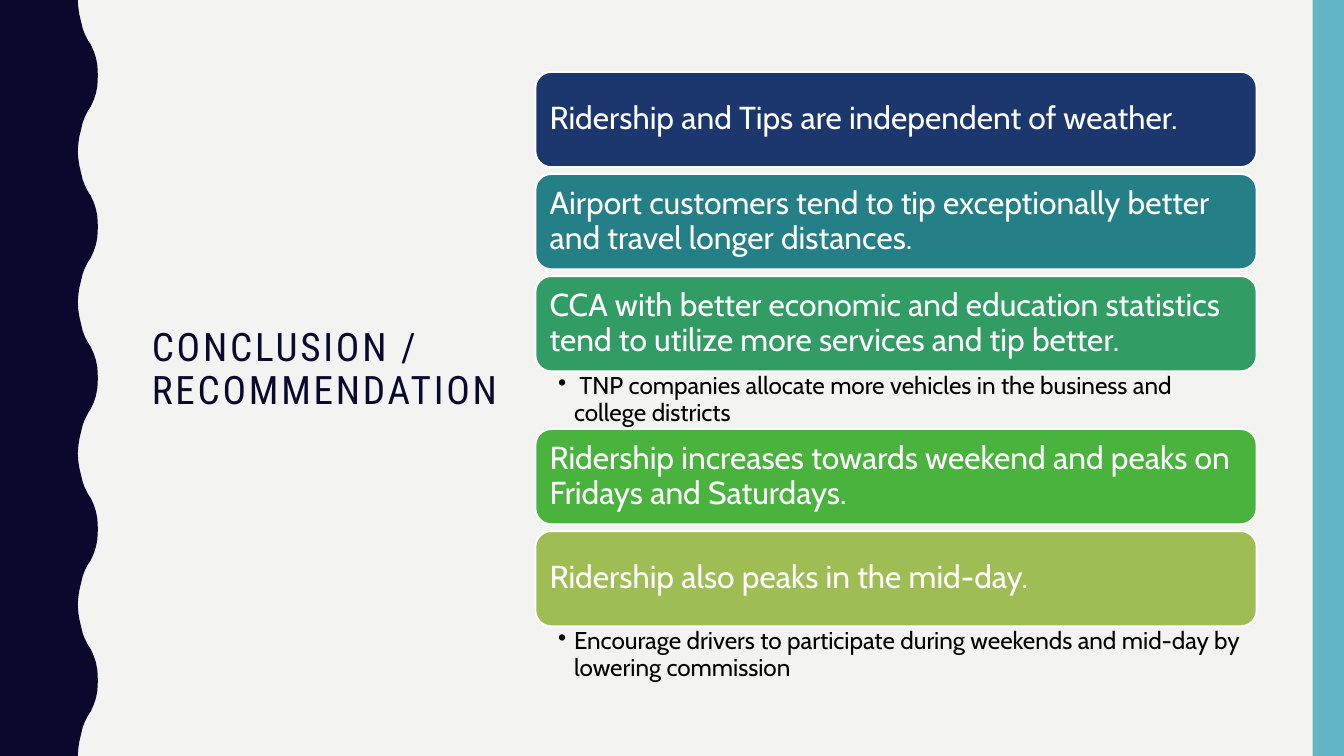
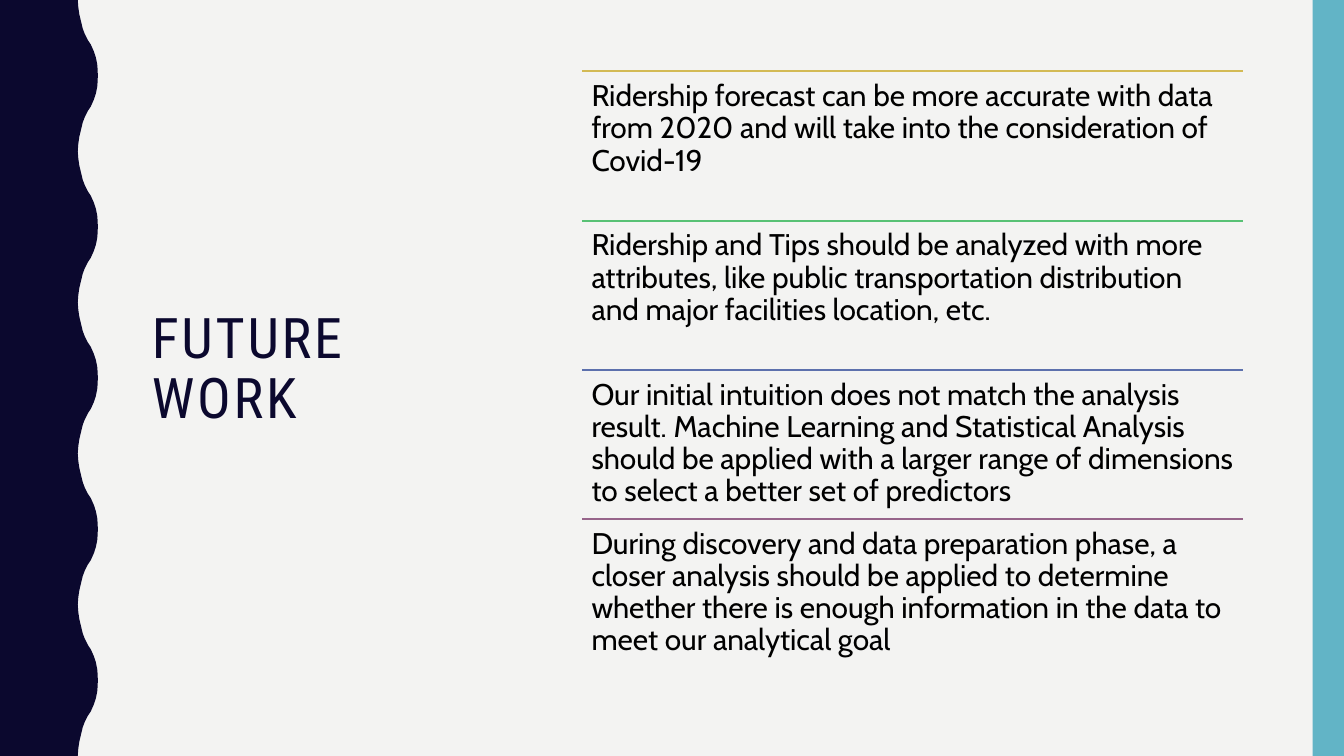
import pptx
import pptx.dml.color
import pptx.enum.shapes
import pptx.enum.text
import pptx.oxml
import pptx.oxml.ns
import pptx.util

Cm = pptx.util.Cm
Pt = pptx.util.Pt
SHAPES = pptx.enum.shapes.MSO_SHAPE
ANCHORS = pptx.enum.text.MSO_ANCHOR

SLIDE_W, SLIDE_H = 25.4, 14.29
PAPER, NAVY, SKY, WHITE, BLACK = "F3F3F2", "0B082E", "62B4C6", "FFFFFF", "000000"
TITLE_FONT, BODY_FONT = "Roboto Condensed", "Cabin"

TITLE_BOX = (2.62, 1.35, 7.06, 11.3)
CONCLUSIONS_BOX = (10.12, 1.36, 13.63, 11.57)
PLANS_BOX = (11, 1.35, 12.5, 11.28)

# Half a wave of the left band: (share of the depth, share of the half length)
WAVE_RISE = [(0, 0), (0.03, 0.1), (0.08, 0.19), (0.15, 0.27), (0.25, 0.38),
             (0.35, 0.45), (0.5, 0.53), (0.65, 0.59), (0.8, 0.68), (0.9, 0.76),
             (0.97, 0.85), (0.99, 0.92), (1, 1)]
WAVES = 5

# Fill of the bar, its text, and the note below it
CONCLUSIONS = [
    ("1B376E", "Ridership and Tips are independent of weather.", None),
    ("257F86", "Airport customers tend to tip exceptionally better and travel "
               "longer distances.", None),
    ("319D65", "CCA with better economic and education statistics tend to utilize "
               "more services and tip better.",
     " TNP companies allocate more vehicles in the business and college districts"),
    ("4AB33E", "Ridership increases towards weekend and peaks on Fridays and "
               "Saturdays.", None),
    ("9EBE55", "Ridership also peaks in the mid-day.",
     "Encourage drivers to participate during weekends and mid-day by lowering "
     "commission"),
]
PLANS = [
    ("D3BA55", "Ridership forecast can be more accurate with data from 2020 and will "
               "take into the consideration of Covid-19"),
    ("58C175", "Ridership and Tips should be analyzed with more attributes, like "
               "public transportation distribution and major facilities location, etc."),
    ("5C70AD", "Our initial intuition does not match the analysis result. Machine "
               "Learning and Statistical Analysis should be applied with a larger "
               "range of dimensions to select a better set of predictors"),
    ("96648A", "During discovery and data preparation phase, a closer analysis should "
               "be applied to determine whether there is enough information in the "
               "data to meet our analytical goal"),
]


def rgb(value):
    return pptx.dml.color.RGBColor.from_string(value)


def lengths(*values):
    return [Cm(value) for value in values]


def paint(shape, fill, outline=None):
    shape.shadow.inherit = False
    shape.fill.solid()
    shape.fill.fore_color.rgb = rgb(fill)
    if outline:
        shape.line.color.rgb = rgb(outline)
        shape.line.width = Pt(1)
    else:
        shape.line.fill.background()


def write(shape, text, *, size, color=BLACK, font=BODY_FONT, anchor=ANCHORS.TOP,
          insets=(0.18, 0.18, 0.18, 0.18), tracking=None, bullet=None):
    """Fill a shape with one paragraph; insets run left, top, right, bottom."""
    frame = shape.text_frame
    frame.word_wrap = True
    frame.auto_size = pptx.enum.text.MSO_AUTO_SIZE.NONE
    frame.vertical_anchor = anchor
    (frame.margin_left, frame.margin_top,
     frame.margin_right, frame.margin_bottom) = lengths(*insets)
    paragraph = frame.paragraphs[0]
    paragraph.alignment = pptx.enum.text.PP_ALIGN.LEFT
    paragraph.line_spacing = 0.9
    if bullet:
        properties = paragraph._p.get_or_add_pPr()
        properties.set("marL", str(Cm(0.3)))
        properties.set("indent", str(-Cm(0.3)))
        mark = pptx.oxml.parse_xml(
            f'<a:buChar {pptx.oxml.ns.nsdecls("a")} char="{bullet}"/>')
        properties.append(mark)
    run = paragraph.add_run()
    run.text = text
    run.font.size = Pt(size)
    run.font.name = font
    run.font.color.rgb = rgb(color)
    if tracking:
        run._r.get_or_add_rPr().set("spc", str(round(tracking * 100)))


def draw_wave_band(slide, trough=1.47, crest=1.85):
    half = SLIDE_H / WAVES / 2
    cycle = WAVE_RISE + [(x, 2 - y) for x, y in reversed(WAVE_RISE[:-1])]
    edge = [lengths(trough + x * (crest - trough), (2 * wave + y) * half)
            for wave in range(WAVES) for x, y in cycle]
    builder = slide.shapes.build_freeform(0, 0)
    builder.add_line_segments(edge + [lengths(0, SLIDE_H)], close=True)
    paint(builder.convert_to_shape(), NAVY)


def draw_side_stripe(slide, width=0.59):
    stripe = slide.shapes.add_shape(
        SHAPES.RECTANGLE, *lengths(SLIDE_W - width, 0, width, SLIDE_H))
    paint(stripe, SKY)


def start_slide(deck, title, title_size):
    slide = deck.slides.add_slide(deck.slide_layouts[6])
    slide.background.fill.solid()
    slide.background.fill.fore_color.rgb = rgb(PAPER)
    draw_wave_band(slide)
    draw_side_stripe(slide)
    heading = slide.shapes.add_textbox(*lengths(*TITLE_BOX))
    write(heading, title, size=title_size, color=NAVY, font=TITLE_FONT,
          anchor=ANCHORS.MIDDLE, insets=(0.25, 0.13, 0.25, 0.13), tracking=1.5)
    return slide


def draw_conclusions(slide, box, bar_height=1.8, gap=0.13, note_height=1.09):
    """Stack the bars; a note takes the place of the gap below its bar."""
    left, top, width, _ = box
    for fill, conclusion, note in CONCLUSIONS:
        bar = slide.shapes.add_shape(
            SHAPES.ROUNDED_RECTANGLE, *lengths(left, top, width, bar_height))
        paint(bar, fill, WHITE)
        write(bar, conclusion, size=17, color=WHITE, anchor=ANCHORS.MIDDLE)
        top += bar_height
        if note:
            advice = slide.shapes.add_textbox(*lengths(left, top, width, note_height))
            write(advice, note, size=13, insets=(0.43, 0.05, 0.33, 0.05), bullet="•")
        top += note_height if note else gap


def draw_plans(slide, box):
    left, top, width, height = box
    row_height = height / len(PLANS)
    for row, (color, plan) in enumerate(PLANS):
        row_top = top + row * row_height
        rule = slide.shapes.add_connector(
            pptx.enum.shapes.MSO_CONNECTOR.STRAIGHT,
            *lengths(left, row_top, left + width, row_top))
        rule.line.color.rgb = rgb(color)
        rule.line.width = Pt(1)
        rule._element.spPr.append(pptx.oxml.parse_xml(
            f'<a:effectLst {pptx.oxml.ns.nsdecls("a")}/>'))
        entry = slide.shapes.add_textbox(*lengths(left, row_top, width, row_height))
        write(entry, plan, size=16)


def main():
    deck = pptx.Presentation()
    deck.slide_width, deck.slide_height = lengths(SLIDE_W, SLIDE_H)
    draw_conclusions(start_slide(deck, "CONCLUSION / RECOMMENDATION", 21),
                     CONCLUSIONS_BOX)
    draw_plans(start_slide(deck, "FUTURE WORK", 30), PLANS_BOX)
    deck.save("out.pptx")


if __name__ == "__main__":
    main()
